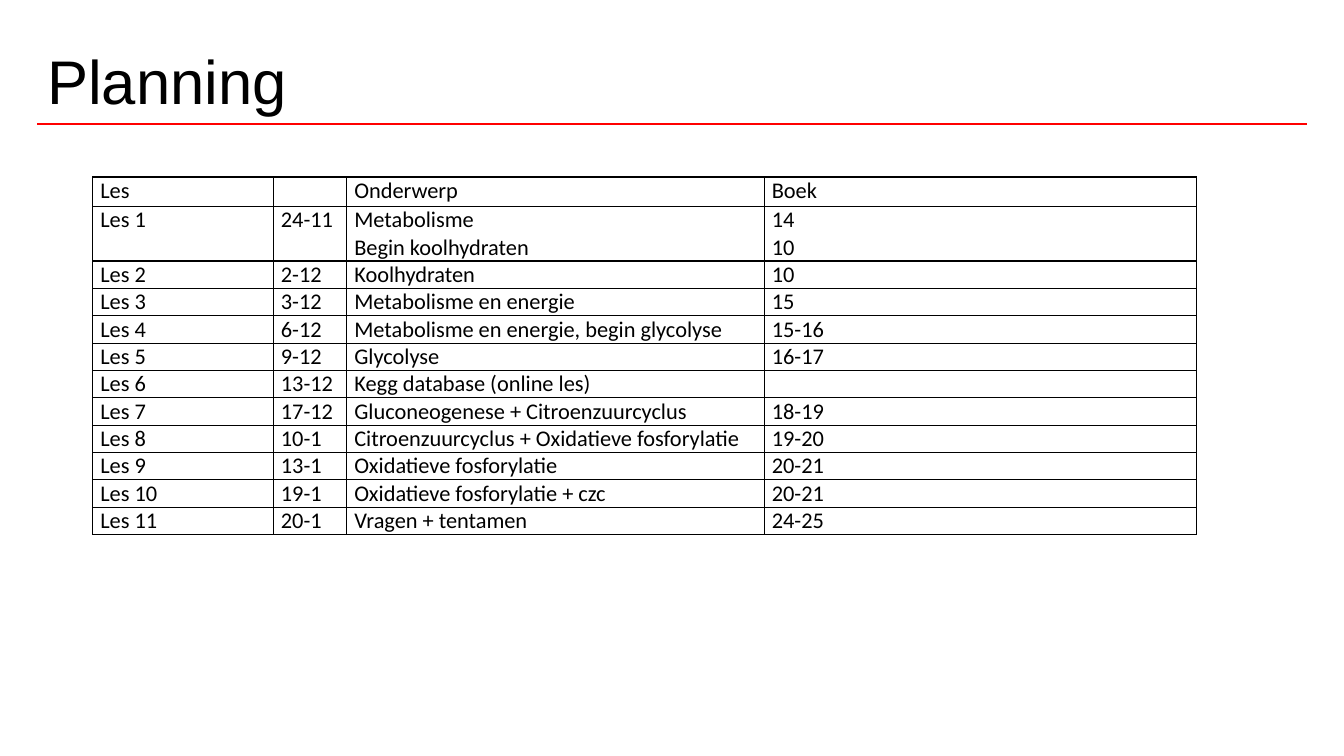
from lxml import etree
from pptx import Presentation
from pptx.dml.color import RGBColor
from pptx.enum.shapes import MSO_CONNECTOR
from pptx.enum.text import MSO_ANCHOR
from pptx.oxml.ns import qn
from pptx.util import Cm, Pt

LINE = MSO_CONNECTOR.STRAIGHT
MIDDLE = MSO_ANCHOR.MIDDLE
BLACK = RGBColor(0, 0, 0)
WHITE = RGBColor(255, 255, 255)
RED = RGBColor(255, 0, 0)

TITLE = "Planning"
LESSONS = [
    ("Les", "", "Onderwerp", "Boek"),
    ("Les 1", "24-11", "Metabolisme\nBegin koolhydraten", "14\n10"),
    ("Les 2", "2-12", "Koolhydraten", "10"),
    ("Les 3", "3-12", "Metabolisme en energie", "15"),
    ("Les 4", "6-12", "Metabolisme en energie, begin glycolyse", "15-16"),
    ("Les 5", "9-12", "Glycolyse", "16-17"),
    ("Les 6", "13-12", "Kegg database (online les)", ""),
    ("Les 7", "17-12", "Gluconeogenese + Citroenzuurcyclus", "18-19"),
    ("Les 8", "10-1", "Citroenzuurcyclus + Oxidatieve fosforylatie", "19-20"),
    ("Les 9", "13-1", "Oxidatieve fosforylatie", "20-21"),
    ("Les 10", "19-1", "Oxidatieve fosforylatie + czc", "20-21"),
    ("Les 11", "20-1", "Vragen + tentamen", "24-25"),
]
COL_WIDTHS = [4.55, 1.85, 10.52, 10.9]
HEADER_HEIGHT = 0.74
LINE_HEIGHT = 0.69
LEFT, RULE_Y, CONTENT_WIDTH = 0.94, 3.12, 32.0


def write(tf, text, font="Calibri", size=16, color=BLACK):
    for i, line in enumerate(text.split("\n")):
        p = tf.paragraphs[0] if i == 0 else tf.add_paragraph()
        if not line:
            p._p.get_or_add_endParaRPr().set("sz", str(size * 100))
            continue
        r = p.add_run()
        r.text = line
        r.font.name = font
        r.font.size = Pt(size)
        r.font.color.rgb = color


def add_borders(cell, color=BLACK, width=1):
    tcPr = cell._tc.get_or_add_tcPr()
    for side in ("lnL", "lnR", "lnT", "lnB"):
        ln = etree.SubElement(tcPr, qn("a:" + side), w=str(Pt(width)))
        fill = etree.SubElement(ln, qn("a:solidFill"))
        etree.SubElement(fill, qn("a:srgbClr"), val=str(color))


prs = Presentation()
prs.slide_width, prs.slide_height = Cm(33.87), Cm(19.05)
s = prs.slides.add_slide(prs.slide_layouts[6])

rule = s.shapes.add_connector(LINE, Cm(LEFT), Cm(RULE_Y), Cm(LEFT + CONTENT_WIDTH), Cm(RULE_Y))
rule.line.color.rgb = RED
rule.line.width = Pt(1.5)
etree.SubElement(rule._element.spPr, qn("a:effectLst"))

sp = s.shapes.add_textbox(Cm(LEFT), Cm(0.91), Cm(CONTENT_WIDTH), Cm(2.21))
sp.text_frame.word_wrap = True
sp.text_frame.vertical_anchor = MIDDLE
write(sp.text_frame, TITLE, font="Arial", size=44)

heights = [HEADER_HEIGHT] + [
    LINE_HEIGHT * max(len(text.split("\n")) for text in row) for row in LESSONS[1:]
]
table = s.shapes.add_table(
    len(LESSONS), len(COL_WIDTHS), Cm(2.34), Cm(4.46), Cm(sum(COL_WIDTHS)), Cm(sum(heights))
).table
table.first_row = table.horz_banding = False
for col, width in zip(table.columns, COL_WIDTHS):
    col.width = Cm(width)
for row, height, texts in zip(table.rows, heights, LESSONS):
    row.height = Cm(height)
    for cell, text in zip(row.cells, texts):
        cell.margin_left = cell.margin_right = Cm(0.19)
        cell.margin_top = cell.margin_bottom = 0
        add_borders(cell)
        cell.fill.solid()
        cell.fill.fore_color.rgb = WHITE
        write(cell.text_frame, text)

prs.save("out.pptx")
